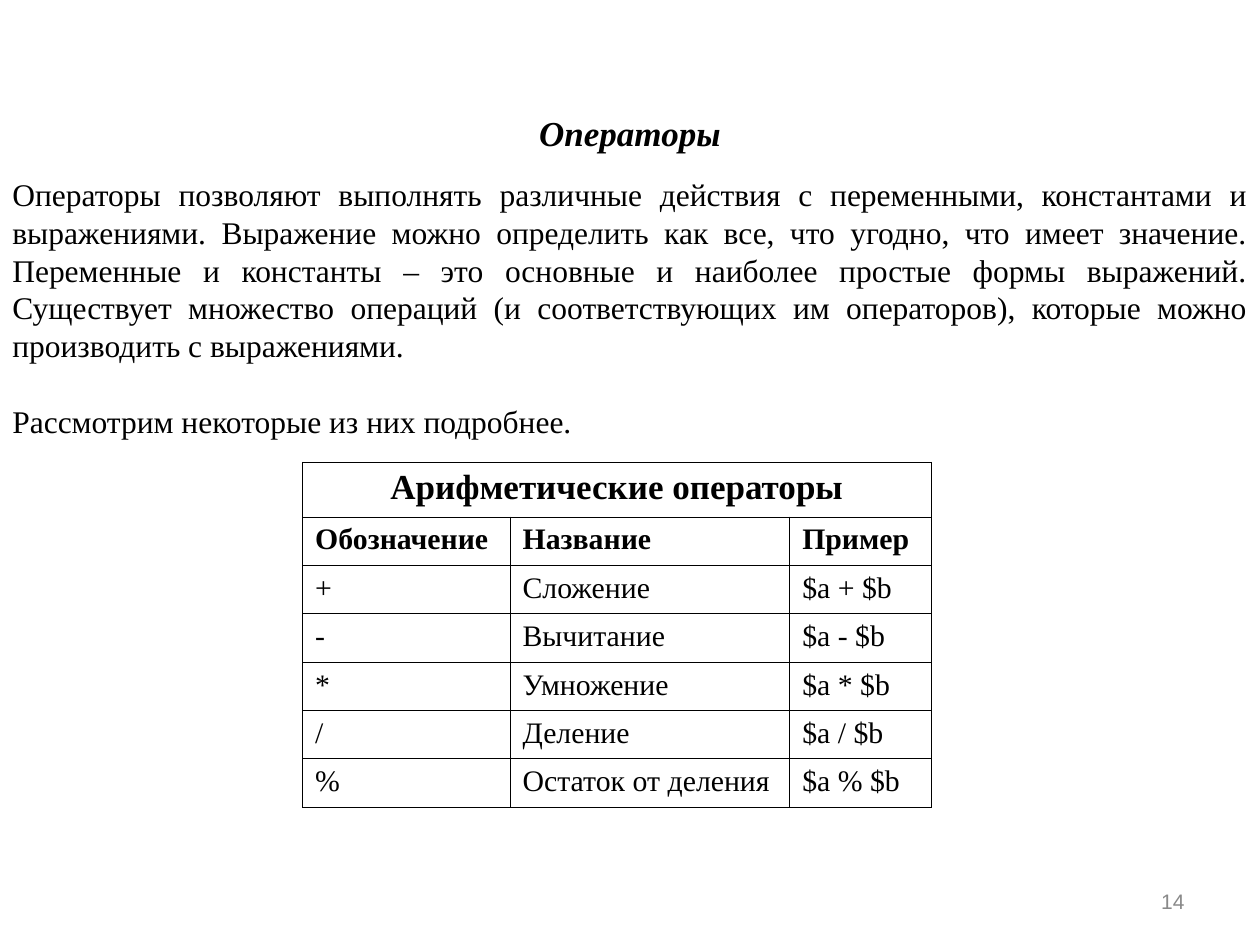
import pptx
import pptx.dml.color
import pptx.enum.text
import pptx.oxml
import pptx.oxml.ns
import pptx.util

Cm, Pt = pptx.util.Cm, pptx.util.Pt
RGBColor = pptx.dml.color.RGBColor
Align = pptx.enum.text.PP_ALIGN
Fit = pptx.enum.text.MSO_AUTO_SIZE
BLACK = RGBColor(0, 0, 0)
GREY = RGBColor(0x89, 0x89, 0x89)

BODY = {"name": "Times New Roman", "size": Pt(18), "bold": False, "italic": False}
TITLE = {**BODY, "size": Pt(20), "bold": True, "italic": True}
CELL = {**BODY, "size": Pt(17)}
HEAD = {**CELL, "bold": True}
BAND = {**HEAD, "size": Pt(20)}
PAGE = {**BODY, "name": "Arial", "size": Pt(12)}

INTRO = (
    "Операторы позволяют выполнять различные действия с переменными, "
    "константами и выражениями. Выражение можно определить как все, что угодно, "
    "что имеет значение. Переменные и константы – это основные и наиболее простые "
    "формы выражений. Существует множество операций (и соответствующих им "
    "операторов), которые можно производить с выражениями."
)
ROWS = [
    ("Обозначение", "Название", "Пример"),
    ("+", "Сложение", "$a + $b"),
    ("-", "Вычитание", "$a - $b"),
    ("*", "Умножение", "$a * $b"),
    ("/", "Деление", "$a / $b"),
    ("%", "Остаток от деления", "$a % $b"),
]


def put_text(para, text, look, align, color=BLACK, gap=0):
    """Write one styled paragraph."""
    run = para.add_run()
    run.text = text
    for key, value in look.items():
        setattr(run.font, key, value)
    run.font.color.rgb = color
    para.alignment = align
    if gap:
        para.space_before = Pt(gap)


def add_box(slide, box, fit=Fit.NONE):
    """Add a wrapped, middle-anchored text box and return its frame."""
    frame = slide.shapes.add_textbox(*map(Cm, box)).text_frame
    look = {
        "word_wrap": True,
        "auto_size": fit,
        "vertical_anchor": pptx.enum.text.MSO_ANCHOR.MIDDLE,
    }
    for key, value in look.items():
        setattr(frame, key, value)
    return frame


def add_intro(slide, box):
    """Place the heading and the two body paragraphs."""
    frame = add_box(slide, box, Fit.SHAPE_TO_FIT_TEXT)
    put_text(frame.paragraphs[0], "Операторы", TITLE, Align.CENTER)
    last = "Рассмотрим некоторые из них подробнее."
    for text, gap in ((INTRO, 12), (last, 21.6)):
        put_text(frame.add_paragraph(), text, BODY, Align.JUSTIFY, gap=gap)


def add_page(slide, box):
    """Place the slide number."""
    frame = add_box(slide, box)
    put_text(frame.paragraphs[0], "14", PAGE, Align.RIGHT, GREY)


def draw_edge(cell):
    """Give a cell thin black borders and no fill."""
    props = cell._tc.get_or_add_tcPr()
    for side in "LRTB":
        props.append(pptx.oxml.parse_xml(
            f'<a:ln{side} {pptx.oxml.ns.nsdecls("a")} w="{Pt(0.45)}">'
            f'<a:solidFill><a:srgbClr val="{BLACK}"/></a:solidFill></a:ln{side}>'
        ))
    cell.fill.background()


def add_grid(slide, box):
    """Place the operator table under its merged heading."""
    count = len(ROWS) + 1
    table = slide.shapes.add_table(count, 3, *map(Cm, box)).table
    for col, share in zip(table.columns, (0.33, 0.445, 0.225)):
        col.width = Cm(box[2] * share)
    top = 1.09
    for num, row in enumerate(table.rows):
        row.height = Cm((box[3] - top) / len(ROWS) if num else top)
    for cell in table.iter_cells():
        draw_edge(cell)
    band = table.cell(0, 0)
    band.merge(table.cell(0, 2))
    put_text(band.text_frame.paragraphs[0], "Арифметические операторы", BAND, Align.CENTER)
    for num, row in enumerate(ROWS, 1):
        look = HEAD if num == 1 else CELL
        for col, text in enumerate(row):
            para = table.cell(num, col).text_frame.paragraphs[0]
            put_text(para, text, look, Align.JUSTIFY)


def main():
    """Build the slide and save it."""
    deck = pptx.Presentation()
    deck.slide_width, deck.slide_height = Cm(25.4), Cm(19.05)
    slide = deck.slides.add_slide(deck.slide_layouts[6])
    add_page(slide, (18.21, 17.65, 5.92, 1.02))
    add_intro(slide, (0, 2.13, 25.4, 6.86))
    add_grid(slide, (6.1, 9.32, 12.67, 6.93))
    deck.save("out.pptx")


if __name__ == "__main__":
    main()
